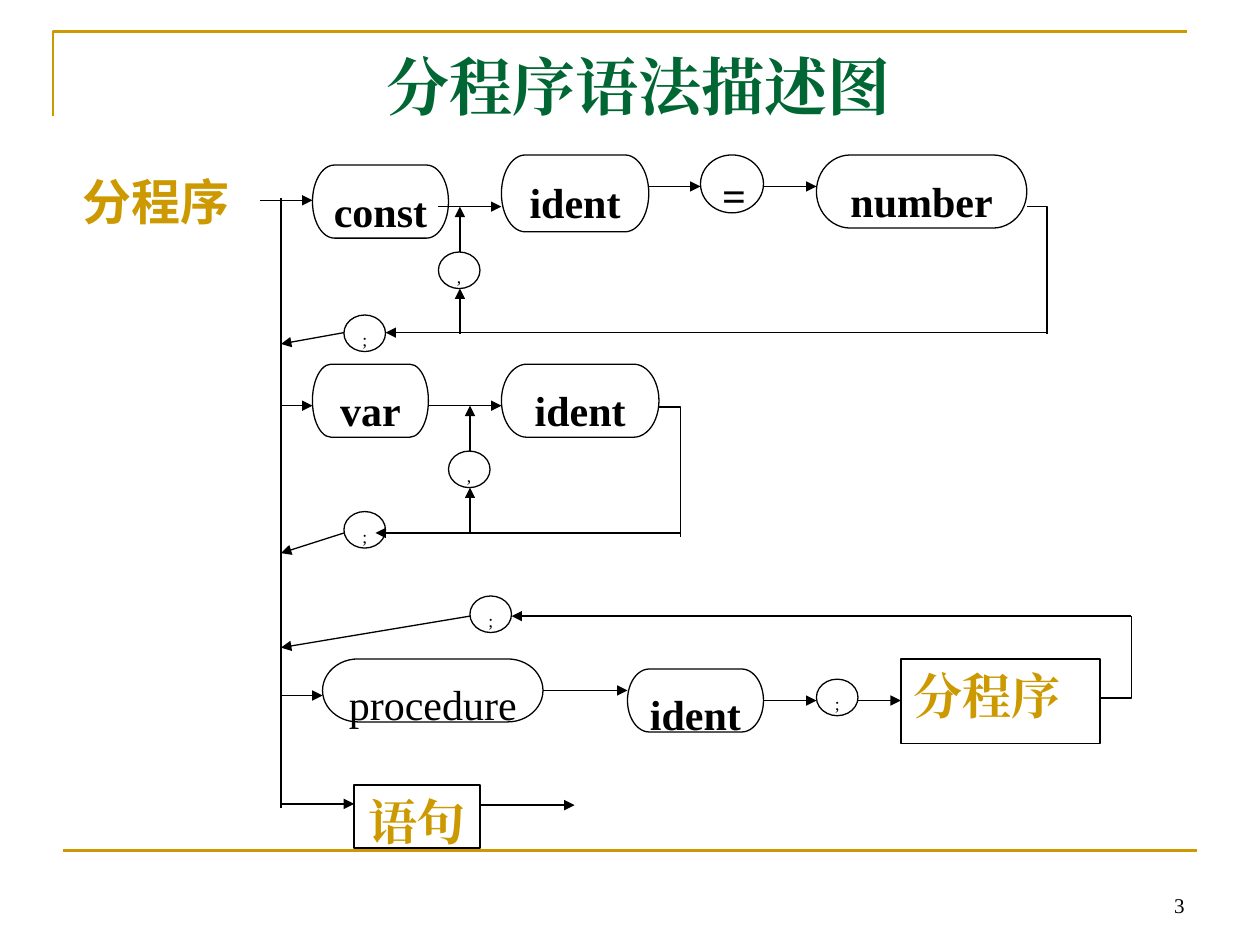
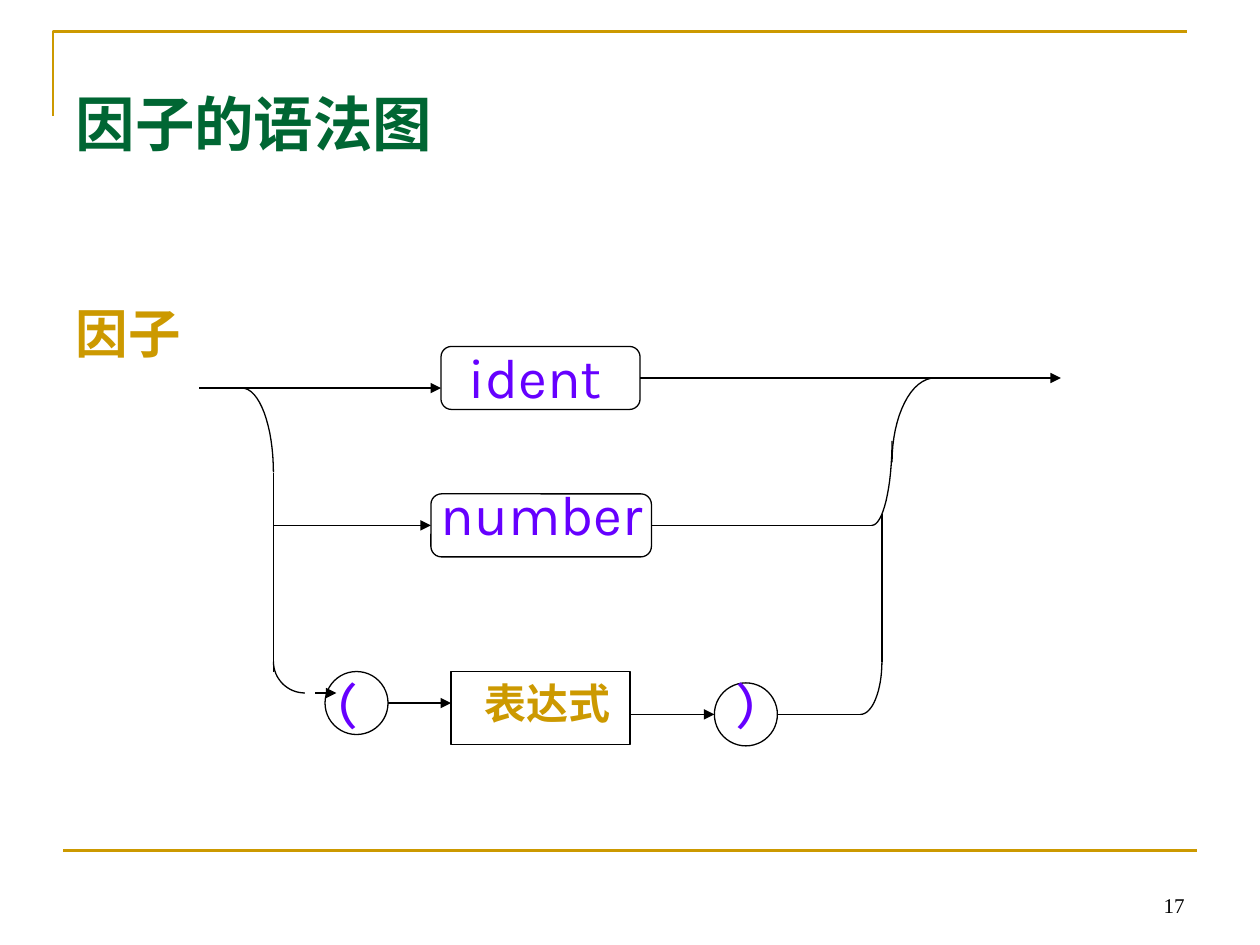
"""Builds two slides of syntax diagrams: the program block and the factor."""
from math import cos, pi, sin
from typing import NamedTuple

from lxml.etree import SubElement
from pptx import Presentation
from pptx.dml.color import RGBColor
from pptx.enum.shapes import MSO_CONNECTOR, MSO_SHAPE
from pptx.enum.text import MSO_ANCHOR, MSO_AUTO_SIZE, PP_ALIGN
from pptx.oxml.ns import qn
from pptx.util import Inches, Pt

BLACK = RGBColor(0x00, 0x00, 0x00)
WHITE = RGBColor(0xFF, 0xFF, 0xFF)
GOLD = RGBColor(0xCC, 0x99, 0x00)
GREEN = RGBColor(0x00, 0x66, 0x33)
VIOLET = RGBColor(0x66, 0x00, 0xFF)
SERIF, SANS, CHINESE = "Times New Roman", "Karla", "Noto Sans CJK SC"

Point = tuple[float, float]


class Box(NamedTuple):
    left: float
    top: float
    width: float
    height: float


class Style(NamedTuple):
    font: str
    size: float
    color: RGBColor
    bold: bool = False
    align: PP_ALIGN = PP_ALIGN.LEFT
    anchor: MSO_ANCHOR = MSO_ANCHOR.TOP
    top_inset: float = 0.05


class Node(NamedTuple):
    kind: MSO_SHAPE
    box: Box
    text: str
    style: Style


class Label(NamedTuple):
    box: Box
    text: str
    style: Style


class Line(NamedTuple):
    start: Point
    end: Point
    arrow: bool = True


PAGE_NUMBER = Style(SERIF, 12, BLACK, align=PP_ALIGN.RIGHT, anchor=MSO_ANCHOR.BOTTOM)
KEYWORD = Style(SERIF, 24, BLACK, True, PP_ALIGN.CENTER, top_inset=0.08)
PLAIN_KEYWORD = KEYWORD._replace(bold=False)
EQUALS = Style(SERIF, 24, BLACK, True, PP_ALIGN.JUSTIFY)
MARK = Style(SERIF, 10, BLACK, align=PP_ALIGN.JUSTIFY, top_inset=0.07)
RULE_NAME = Style(SERIF, 28, GOLD, True)
TERMINAL = Style(SANS, 32, VIOLET)


def write(shape, text: str, style: Style) -> None:
    """Fill a shape with one styled paragraph."""
    frame = shape.text_frame
    frame.text = text
    frame.word_wrap = True
    frame.auto_size = MSO_AUTO_SIZE.NONE
    frame.vertical_anchor = style.anchor
    frame.margin_left = frame.margin_right = Inches(0.1)
    frame.margin_top, frame.margin_bottom = Inches(style.top_inset), Inches(0.05)
    paragraph = frame.paragraphs[0]
    paragraph.alignment = style.align
    paragraph.space_before = Pt(0)
    for run in paragraph.runs:
        run.font.name = style.font
        run.font.size = Pt(style.size)
        run.font.bold = style.bold
        run.font.color.rgb = style.color
        SubElement(run.font._element, qn("a:ea"), typeface=style.font)


def place(shape, box: Box) -> None:
    """Move a placeholder to a box."""
    shape.left, shape.top, shape.width, shape.height = map(Inches, box)


def outline(shape, color: RGBColor = BLACK, width: float = 0.75) -> None:
    """Give a shape a plain line."""
    shape.line.color.rgb = color
    shape.line.width = Pt(width)


def add_label(slide, label: Label) -> None:
    """Add a text box."""
    write(slide.shapes.add_textbox(*map(Inches, label.box)), label.text, label.style)


def add_outline(slide, kind: MSO_SHAPE, box: Box):
    """Add an unfilled preset shape."""
    shape = slide.shapes.add_shape(kind, *map(Inches, box))
    shape.shadow.inherit = False
    shape.fill.background()
    outline(shape)
    return shape


def add_node(slide, node: Node) -> None:
    """Add a white diagram node with its symbol."""
    shape = add_outline(slide, node.kind, node.box)
    shape.fill.solid()
    shape.fill.fore_color.rgb = WHITE
    write(shape, node.text, node.style)


def add_line(slide, line: Line, color: RGBColor = BLACK, width: float = 0.75) -> None:
    """Add a straight line, with an arrowhead at its end if asked."""
    connector = slide.shapes.add_connector(
        MSO_CONNECTOR.STRAIGHT, *map(Inches, (*line.start, *line.end)))
    outline(connector, color, width)
    if line.arrow:
        SubElement(connector.line._get_or_add_ln(), qn("a:tailEnd"), type="triangle")
    SubElement(connector._element.spPr, qn("a:effectLst"))


def add_path(slide, points: list[Point], color: RGBColor = BLACK, width: float = 0.75) -> None:
    """Add an open outline through the points."""
    start, *rest = [(Inches(x), Inches(y)) for x, y in points]
    builder = slide.shapes.build_freeform(*start)
    builder.add_line_segments(rest, close=False)
    path = builder.convert_to_shape()
    path.shadow.inherit = False
    path.fill.background()
    outline(path, color, width)


def quarter_arc(start: Point, end: Point, steps: int = 16) -> list[Point]:
    """Return a quarter ellipse that leaves level and arrives upright."""
    angles = [pi / 2 * step / steps for step in range(steps + 1)]
    return [(start[0] + (end[0] - start[0]) * sin(angle),
             end[1] + (start[1] - end[1]) * cos(angle)) for angle in angles]


def start_slide(deck, layout: int, title: str, box: Box, style: Style, number: str):
    """Add a slide with its title, frame lines and page number."""
    slide = deck.slides.add_slide(deck.slide_layouts[layout])
    add_path(slide, [(0.42, 0.92), (0.42, 0.25), (9.42, 0.25)], GOLD, 1.5)
    add_line(slide, Line((0.5, 6.75), (9.5, 6.75), False), GOLD, 1.5)
    add_label(slide, Label(Box(7.17, 6.83, 2.33, 0.5), number, PAGE_NUMBER))
    place(slide.shapes.title, box)
    write(slide.shapes.title, title, style)
    return slide


def keyword(left: float, top: float, width: float, height: float, text: str,
            style: Style = KEYWORD) -> Node:
    """Describe a rounded keyword node."""
    return Node(MSO_SHAPE.FLOWCHART_TERMINATOR, Box(left, top, width, height), text, style)


def mark(left: float, top: float, text: str) -> Node:
    """Describe a small punctuation node."""
    return Node(MSO_SHAPE.FLOWCHART_CONNECTOR, Box(left, top, 0.33, 0.29), text, MARK)


def build_block_slide(deck) -> None:
    """Draw the syntax of a program block."""
    title_style = Style(SERIF, 36, GREEN, True, PP_ALIGN.CENTER, MSO_ANCHOR.BOTTOM)
    slide = start_slide(deck, 5, "分程序语法描述图", Box(1.22, 0.28, 7.69, 0.75), title_style, "3")
    nodes = [
        keyword(2.48, 1.31, 1.08, 0.58, "const"),
        keyword(3.98, 1.23, 1.17, 0.61, "ident"),
        Node(MSO_SHAPE.FLOWCHART_CONNECTOR, Box(5.56, 1.23, 0.5, 0.46), "=", EQUALS),
        keyword(6.48, 1.23, 1.67, 0.58, "number"),
        mark(3.48, 2, ","), mark(2.73, 2.5, ";"),
        keyword(2.48, 2.89, 0.92, 0.58, "var"),
        keyword(3.98, 2.89, 1.25, 0.58, "ident"),
        mark(3.56, 3.58, ","), mark(2.73, 4.06, ";"), mark(3.73, 4.73, ";"),
        keyword(2.56, 5.23, 1.75, 0.5, "procedure", PLAIN_KEYWORD),
        keyword(4.98, 5.31, 1.08, 0.5, "ident"),
        mark(6.48, 5.39, ";"),
        Node(MSO_SHAPE.FLOWCHART_PROCESS, Box(7.15, 5.23, 1.58, 0.67), "分程序",
             RULE_NAME._replace(align=PP_ALIGN.JUSTIFY)),
        Node(MSO_SHAPE.FLOWCHART_PROCESS, Box(2.81, 6.23, 1, 0.5), "语句",
             RULE_NAME._replace(align=PP_ALIGN.CENTER)),
    ]
    for node in nodes:
        add_node(slide, node)
    trunk = 2.23
    const_flow = [
        Line((2.06, 1.59), (2.48, 1.59)), Line((3.48, 1.64), (3.98, 1.64)),
        Line((5.15, 1.48), (5.56, 1.48)), Line((6.06, 1.48), (6.48, 1.48)),
        Line((8.31, 2.64), (3.06, 2.64)), Line((3.65, 2.65), (3.65, 2.29)),
        Line((3.65, 2), (3.65, 1.64)), Line((2.73, 2.64), (trunk, 2.73)),
    ]
    var_flow = [
        Line((trunk, 3.22), (2.48, 3.22)), Line((3.4, 3.22), (3.98, 3.22)),
        Line((5.4, 4.23), (2.98, 4.23)), Line((3.73, 4.23), (3.73, 3.87)),
        Line((3.73, 3.58), (3.73, 3.22)), Line((2.73, 4.23), (trunk, 4.39)),
    ]
    procedure_flow = [
        Line((trunk, 5.52), (2.56, 5.52)), Line((4.31, 5.48), (4.98, 5.48)),
        Line((6.06, 5.56), (6.48, 5.56)), Line((6.81, 5.56), (7.15, 5.56)),
        Line((8.98, 4.89), (4.06, 4.89)), Line((3.73, 4.89), (trunk, 5.14)),
    ]
    statement_flow = [Line((trunk, 6.38), (2.81, 6.38)), Line((3.81, 6.39), (4.56, 6.39))]
    add_line(slide, Line((trunk, 1.57), (trunk, 6.41), False))
    for line in const_flow + var_flow + procedure_flow + statement_flow:
        add_line(slide, line)
    for turn in ([(8.15, 1.64), (8.31, 1.64), (8.31, 2.65)],
                 [(5.23, 3.23), (5.4, 3.23), (5.4, 4.26)],
                 [(8.73, 5.54), (8.98, 5.54), (8.98, 4.89)]):
        add_path(slide, turn)
    add_label(slide, Label(Box(0.56, 1.31, 1.42, 0.57), "分程序", RULE_NAME._replace(font=CHINESE)))


def build_factor_slide(deck) -> None:
    """Draw the syntax of a factor."""
    title_style = Style(CHINESE, 34, GREEN, True)
    slide = start_slide(deck, 1, "因子的语法图", Box(0.5, 0.64, 9, 0.91), title_style, "17")
    factor = slide.placeholders[1]
    place(factor, Box(0.5, 2.34, 9, 4.36))
    write(factor, "因子", Style(CHINESE, 30, GOLD, True))
    indents = factor.text_frame.paragraphs[0]._p.get_or_add_pPr()
    indents.set("marL", "0")
    indents.set("indent", "0")
    SubElement(indents, qn("a:buNone"))

    for kind, box in (
        (MSO_SHAPE.ROUNDED_RECTANGLE, Box(3.5, 2.75, 1.58, 0.5)),
        (MSO_SHAPE.ROUNDED_RECTANGLE, Box(3.42, 3.92, 1.75, 0.5)),
        (MSO_SHAPE.OVAL, Box(2.58, 5.33, 0.5, 0.5)),
        (MSO_SHAPE.RECTANGLE, Box(3.58, 5.33, 1.42, 0.58)),
        (MSO_SHAPE.OVAL, Box(5.67, 5.42, 0.5, 0.5)),
    ):
        add_outline(slide, kind, box)
    for label in (
        Label(Box(3.62, 2.67, 1.27, 0.64), "ident", TERMINAL),
        Label(Box(3.4, 3.76, 1.87, 0.64), "number", TERMINAL),
        Label(Box(2.58, 5.25, 0.42, 0.64), "(", TERMINAL),
        Label(Box(3.75, 5.33, 1.3, 0.6), "表达式", Style(CHINESE, 24, GOLD, True)),
        Label(Box(5.75, 5.25, 0.5, 0.64), ")", TERMINAL),
    ):
        add_label(slide, label)
    for line in (
        Line((1.58, 3.08), (3.5, 3.08)), Line((5.08, 3), (8.42, 3)),
        Line((2.17, 3.75), (2.17, 5.33), False),
        Line((2.17, 4.17), (3.42, 4.17)), Line((5.17, 4.17), (6.92, 4.17), False),
        Line((2.5, 5.5), (2.67, 5.5)), Line((3.08, 5.58), (3.58, 5.58)),
        Line((5, 5.67), (5.67, 5.67)), Line((6.17, 5.67), (6.83, 5.67), False),
        Line((7, 5.25), (7, 4.08), False),
    ):
        add_line(slide, line)
    for start, end in (
        ((1.92, 3.08), (2.17, 3.75)), ((2.42, 5.5), (2.17, 5.25)),
        ((6.83, 5.67), (7, 5.25)), ((6.92, 4.17), (7.08, 3.5)),
        ((7.42, 3), (7.08, 3.67)),
    ):
        add_path(slide, quarter_arc(start, end))


def main() -> None:
    """Build and save the deck."""
    deck = Presentation()
    deck.slide_width, deck.slide_height = Inches(10), Inches(7.5)
    build_block_slide(deck)
    build_factor_slide(deck)
    deck.save("out.pptx")


if __name__ == "__main__":
    main()
